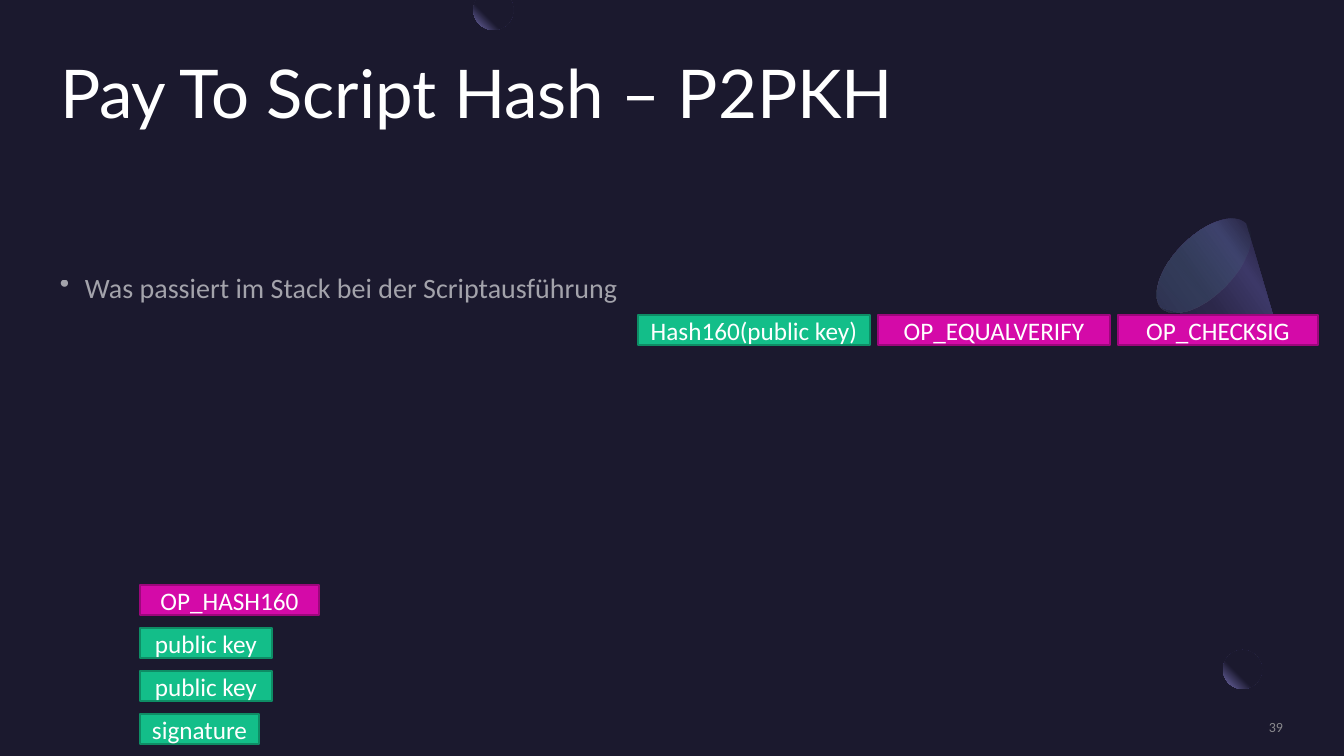
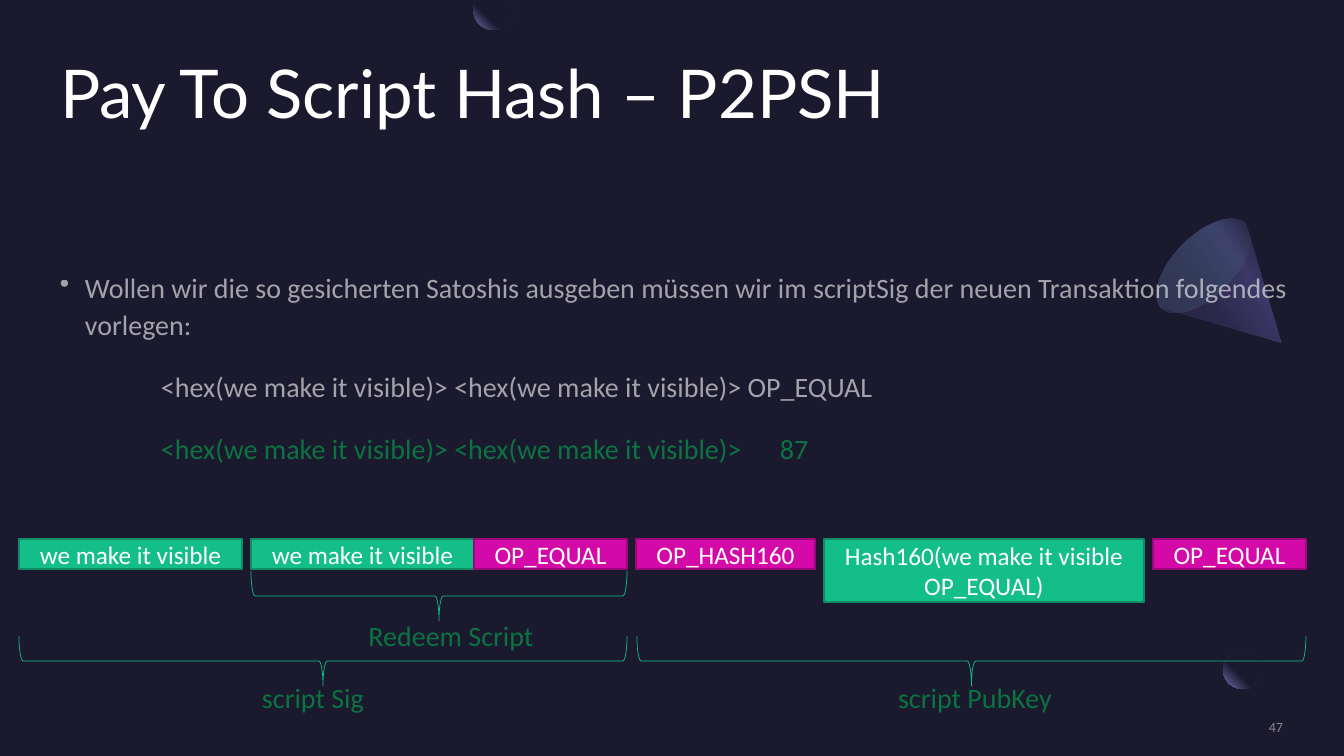
from math import cos, radians, sin

from lxml.etree import SubElement
from pptx import Presentation
from pptx.dml.color import RGBColor
from pptx.enum.shapes import MSO_SHAPE as Shape
from pptx.enum.text import MSO_ANCHOR as Anchor, PP_ALIGN as Align
from pptx.oxml.ns import qn
from pptx.util import Emu, Pt

COLORS = {
    "night": "1B192E", "lilac": "7771B2", "cone_dark": "2C284A",
    "cone_light": "3C3867", "base": "454075", "mint": "5BEFC1",
    "white": "FFFFFF", "gray": "A6A6A6", "green": "00B050",
    "op": "D40AA8", "op_edge": "9D077C",
    "data": "13BE89", "data_edge": "0E8D65",
}
BUBBLE_STOPS = [(60, "night", 100), (100, "lilac", 100)]
CONE_STOPS = [(30, "cone_dark", 100), (40, "cone_light", 100),
              (60, "cone_dark", 100), (100, "night", 100)]
BASE_STOPS = [(0, "base", 33), (100, "mint", 0)]
BOX_HEIGHT = 30
BRACE_DEPTH = 50


def px(value):
    return Emu(round(value * 914400 / 100.8))


def rgb(name):
    return RGBColor.from_string(COLORS[name])


def set_alpha(parent, percent):
    color = next(parent.iter(qn("a:srgbClr")))
    SubElement(color, qn("a:alpha"), val=str(percent * 1000))


def arc(cx, cy, rx, ry, start, end, step=6):
    return [(cx + rx * cos(radians(a)), cy + ry * sin(radians(a)))
            for a in range(start, end + 1, step)]


class Style:
    def __init__(self, deck):
        self.deck = deck
        self.page = None

    # Page frame
    def new_page(self, title, number):
        self.page = self.deck.slides.add_slide(self.deck.slide_layouts[6])
        fill = self.page.background.fill
        fill.solid()
        fill.fore_color.rgb = rgb("night")
        self.decoration()
        para = self.text_box(60, 60, 1224, 147).paragraphs[0]
        self.set_text(para, title, 48, "white", face="Lato", spacing=0.9)
        frame = self.text_box(1097, 718, 186, 17)
        frame.vertical_anchor = Anchor.MIDDLE
        para = frame.paragraphs[0]
        para.alignment = Align.RIGHT
        self.set_text(para, number, 10, "gray", alpha=80)

    def decoration(self):
        ball = self.shape(Shape.OVAL, 1223, 650, 39, 39)
        self.gradient(ball, BUBBLE_STOPS)
        cover = self.shape(Shape.RECTANGLE, 1262, 642, 41, 39)
        self.solid(cover, "night")
        set_alpha(cover._element.spPr, 80)
        cone = self.outline([(1232, 224)] + arc(1232, 333, 59.5, 30, 0, 180))
        cone.rotation = 135
        self.gradient(cone, CONE_STOPS, angle=10)
        base = self.shape(Shape.OVAL, 1174, 206, 59, 119)
        base.rotation = 225
        self.gradient(base, BASE_STOPS, angle=90)
        bubble = self.outline(arc(493.5, 10, 20, 20, -30, 210))
        self.gradient(bubble, BUBBLE_STOPS)

    # Shapes and fills
    def shape(self, kind, x, y, width, height):
        shape = self.page.shapes.add_shape(kind, px(x), px(y), px(width), px(height))
        return self.plain(shape)

    def outline(self, points):
        points = [(px(x), px(y)) for x, y in points]
        builder = self.page.shapes.build_freeform(*points[0])
        builder.add_line_segments(points[1:], close=True)
        return self.plain(builder.convert_to_shape())

    def plain(self, shape):
        shape.shadow.inherit = False
        shape.fill.background()
        shape.line.fill.background()
        return shape

    def solid(self, shape, color):
        shape.fill.solid()
        shape.fill.fore_color.rgb = rgb(color)

    def edge(self, shape, color, width):
        shape.line.color.rgb = rgb(color)
        shape.line.width = Pt(width)

    def gradient(self, shape, stops, angle=None):
        """A linear gradient, or a round one from the top right without an angle."""
        grad = shape._element.spPr.find(qn("a:noFill"))
        grad.tag = qn("a:gradFill")
        grad.set("rotWithShape", "1")
        stop_list = SubElement(grad, qn("a:gsLst"))
        for position, color, alpha in stops:
            stop = SubElement(stop_list, qn("a:gs"), pos=str(position * 1000))
            SubElement(stop, qn("a:srgbClr"), val=COLORS[color])
            if alpha < 100:
                set_alpha(stop, alpha)
        if angle is None:
            circle = SubElement(grad, qn("a:path"))
            circle.set("path", "circle")
            SubElement(circle, qn("a:fillToRect"), l="100000", b="100000")
        else:
            SubElement(grad, qn("a:lin"), ang=str(angle * 60000), scaled="0")

    # Text
    def text_box(self, x, y, width, height):
        box = self.page.shapes.add_textbox(px(x), px(y), px(width), px(height))
        frame = box.text_frame
        frame.word_wrap = True
        frame.margin_left = frame.margin_right = 0
        frame.margin_top = frame.margin_bottom = 0
        return frame

    def set_text(self, para, text, size, color, alpha=100, face="Calibri", spacing=None):
        para.text = text
        if spacing:
            para.line_spacing = spacing
        font = para.font
        font.name, font.size = face, Pt(size)
        font.color.rgb = rgb(color)
        if alpha < 100:
            set_alpha(font._rPr, alpha)

    def body(self, bullet, code_lines=()):
        frame = self.text_box(60, 267, 1283, 387)
        para = frame.paragraphs[0]
        para.space_after = Pt(8)
        props = para._p.get_or_add_pPr()
        props.set("marL", str(px(25)))
        props.set("indent", str(px(-25)))
        SubElement(props, qn("a:buChar"), char="•")
        self.set_text(para, bullet, 20, "white", alpha=60, spacing=1.1)
        for text, color in code_lines:
            para = frame.add_paragraph()
            para.space_before, para.space_after = Pt(10), Pt(8)
            tabs = SubElement(para._p.get_or_add_pPr(), qn("a:tabLst"))
            for stop in (101, 720):
                SubElement(tabs, qn("a:tab"), pos=str(px(stop)), algn="l")
            self.set_text(para, "\t" + text, 20, color, alpha=60, spacing=1.1)

    def caption(self, text, center, y):
        para = self.text_box(center - 120, y, 240, 38).paragraphs[0]
        para.alignment = Align.CENTER
        self.set_text(para, text, 20, "green", alpha=60, spacing=1.1)

    # Script elements
    def script_box(self, text, x, y, width, height=BOX_HEIGHT):
        kind = "op" if text.startswith("OP_") else "data"
        box = self.shape(Shape.RECTANGLE, x, y, width, height)
        self.solid(box, kind)
        self.edge(box, kind + "_edge", 1)
        frame = box.text_frame
        frame.word_wrap = True
        frame.vertical_anchor = Anchor.MIDDLE
        para = frame.paragraphs[0]
        para.alignment = Align.CENTER
        self.set_text(para, text, 18, "white")

    def script_row(self, x, y, gap, items):
        """Place boxes side by side and return the right end of the last one."""
        for text, width, *height in items:
            self.script_box(text, x, y, width, *height)
            x += width + gap
        return x - gap

    def brace(self, left, right, y):
        span = right - left
        brace = self.shape(Shape.LEFT_BRACE, (left + right - BRACE_DEPTH) / 2,
                           y + (BRACE_DEPTH - span) / 2, BRACE_DEPTH, span)
        brace.rotation = 270
        self.edge(brace, "data", 0.5)


def stack_page(style):
    style.new_page("Pay To Script Hash – P2PKH", "39")
    style.body("Was passiert im Stack bei der Scriptausführung")
    style.script_row(638, 315, 8, [("Hash160(public key)", 232),
                                   ("OP_EQUALVERIFY", 232), ("OP_CHECKSIG", 200)])
    stack = [("OP_HASH160", 179), ("public key", 132),
             ("public key", 132), ("signature", 119)]
    for level, (text, width) in enumerate(stack):
        style.script_box(text, 140, 585 + 43 * level, width)


def redeem_page(style):
    style.new_page("Pay To Script Hash – P2PSH", "47")
    style.body(
        "Wollen wir die so gesicherten Satoshis ausgeben müssen wir im scriptSig "
        "der neuen Transaktion folgendes vorlegen:",
        [("<hex(we make it visible)> <hex(we make it visible)> OP_EQUAL", "white"),
         ("<hex(we make it visible)> <hex(we make it visible)>\t87", "green")])
    # Unlocking and locking script
    left, top, gap = 19, 539, 9
    phrase, equal = ("we make it visible", 223), ("OP_EQUAL", 153)
    redeem_left = style.script_row(left, top, gap, [phrase]) + gap
    redeem_right = style.script_row(redeem_left, top, 0, [phrase, equal])
    lock_left = redeem_right + gap
    lock_right = style.script_row(lock_left, top, gap, [
        ("OP_HASH160", 179), ("Hash160(we make it visible OP_EQUAL)", 320, 63), equal])
    # Braces with their captions
    style.brace(redeem_left, redeem_right, 571)
    style.caption("Redeem Script", 451, 615)
    style.brace(left, redeem_right, 636)
    style.caption("script Sig", 313, 677)
    style.brace(lock_left + 1, lock_right, 636)
    style.caption("script PubKey", 975, 677)


def main():
    deck = Presentation()
    deck.slide_width, deck.slide_height = px(1344), px(756)
    style = Style(deck)
    stack_page(style)
    redeem_page(style)
    deck.save("out.pptx")


if __name__ == "__main__":
    main()
